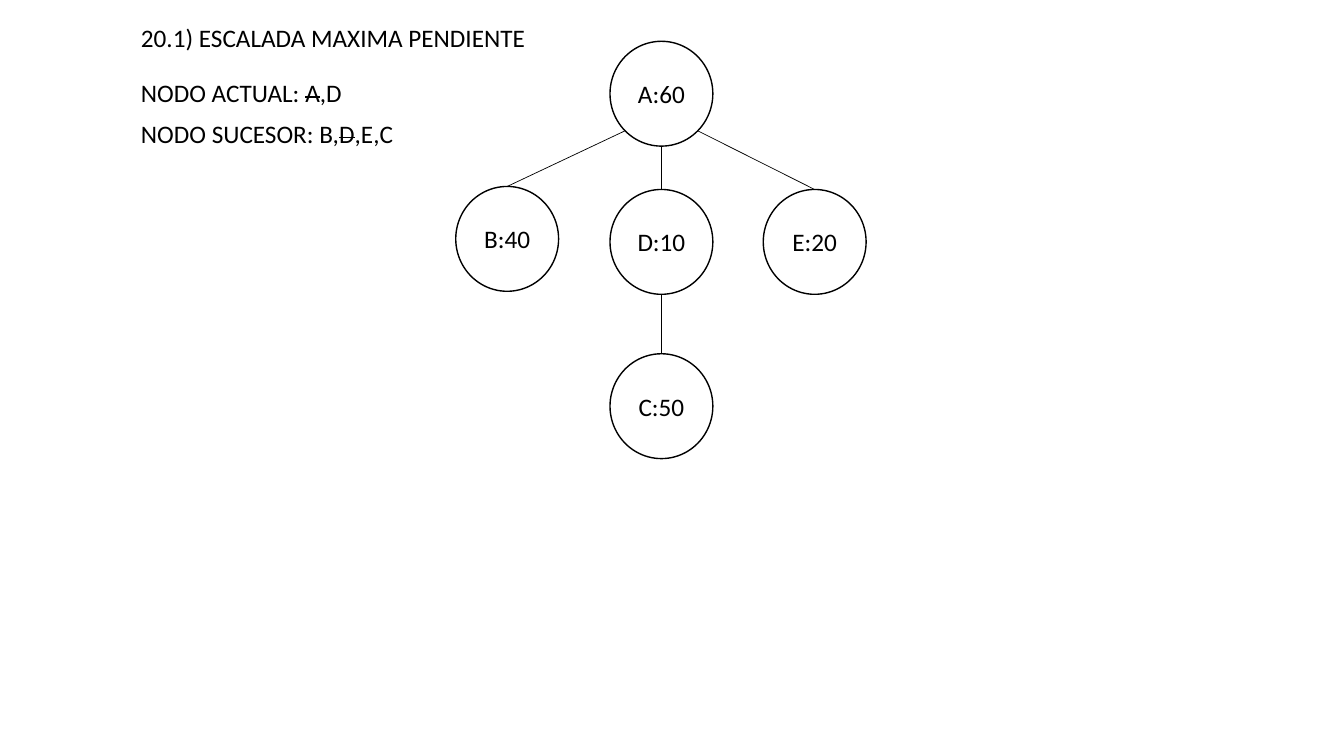
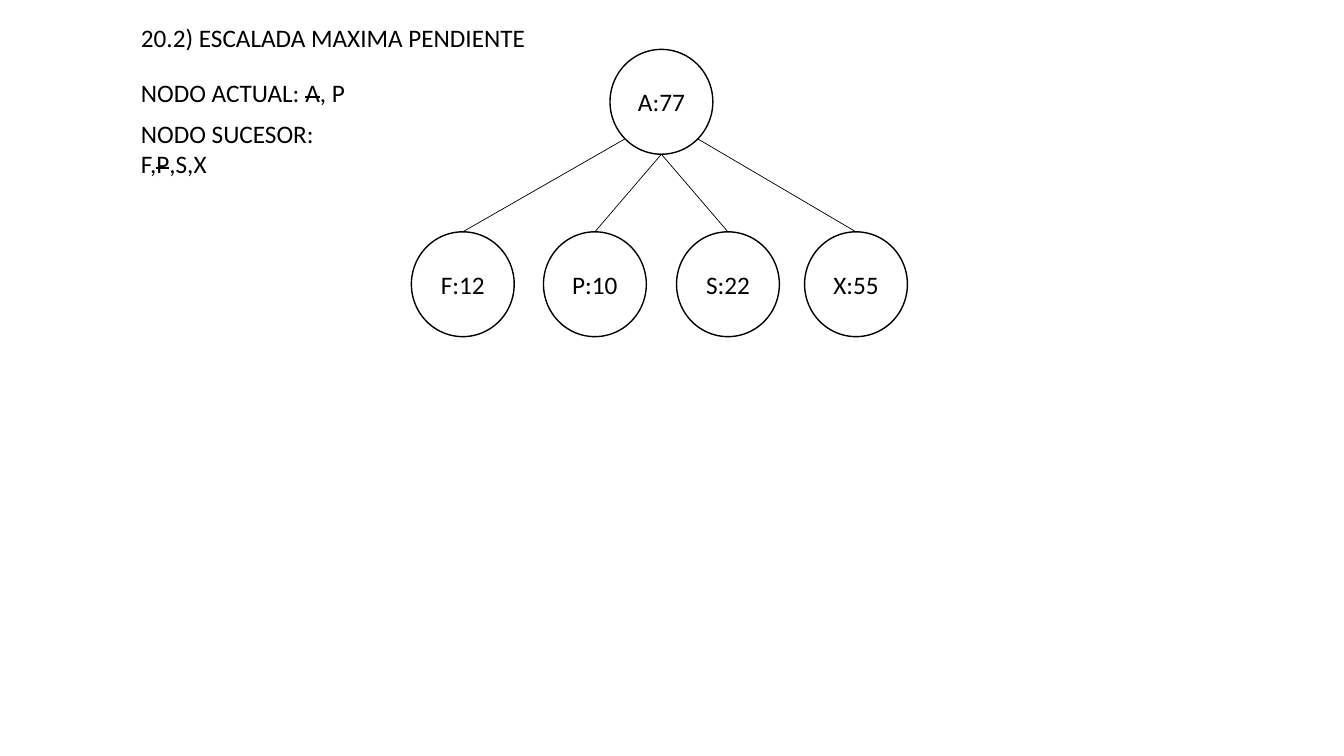
import math

from pptx import Presentation
from pptx.dml.color import RGBColor
from pptx.enum.shapes import MSO_CONNECTOR, MSO_SHAPE
from pptx.enum.text import MSO_ANCHOR, MSO_AUTO_SIZE, PP_ALIGN
from pptx.oxml.ns import qn
from pptx.util import Inches, Pt
from lxml import etree

STRAIGHT = MSO_CONNECTOR.STRAIGHT
ELLIPSE = MSO_SHAPE.OVAL
MIDDLE = MSO_ANCHOR.MIDDLE
CENTER = PP_ALIGN.CENTER
LEFT = PP_ALIGN.LEFT
GROW = MSO_AUTO_SIZE.SHAPE_TO_FIT_TEXT

COLORS = {"ink": "000000", "paper": "FFFFFF"}
FONT = "Calibri"
NODE_WIDTH, NODE_HEIGHT = 1.02, 1.04
ROOT_LEFT = 6.05
TEXT_LEFT = 1.3
BOTTOM_LEFT, BOTTOM, BOTTOM_RIGHT = 3, 4, 5
SITE_ANGLES = {BOTTOM_LEFT: 135, BOTTOM: 90, BOTTOM_RIGHT: 45}

SLIDES = [
    {
        "title": "20.1) ESCALADA MAXIMA PENDIENTE",
        "current": ("NODO ACTUAL: ~A~,D", 2.27),
        "successor": ("NODO SUCESOR: B,~D~,E,C", 2.78),
        "nodes": {
            "A:60": (ROOT_LEFT, 0.41),
            "B:40": (4.52, 1.85),
            "D:10": (ROOT_LEFT, 1.88),
            "E:20": (7.57, 1.88),
            "C:50": (ROOT_LEFT, 3.51),
        },
        "edges": [
            ("A:60", BOTTOM_LEFT, "B:40"),
            ("A:60", BOTTOM, "D:10"),
            ("A:60", BOTTOM_RIGHT, "E:20"),
            ("D:10", BOTTOM, "C:50"),
        ],
    },
    {
        "title": "20.2) ESCALADA MAXIMA PENDIENTE",
        "current": ("NODO ACTUAL: ~A~, P", 2.3),
        "successor": ("NODO SUCESOR: F,~P~,S,X", 2.3),
        "nodes": {
            "A:77": (ROOT_LEFT, 0.49),
            "F:12": (4.08, 2.3),
            "P:10": (5.39, 2.3),
            "S:22": (6.71, 2.3),
            "X:55": (7.98, 2.3),
        },
        "edges": [
            ("A:77", BOTTOM_LEFT, "F:12"),
            ("A:77", BOTTOM, "P:10"),
            ("A:77", BOTTOM, "S:22"),
            ("A:77", BOTTOM_RIGHT, "X:55"),
        ],
    },
]


def color(name):
    return RGBColor.from_string(COLORS[name])


def write_text(frame, text, size=18, ink="ink", align=LEFT):
    paragraph = frame.paragraphs[0]
    paragraph.alignment = align
    for index, part in enumerate(text.split("~")):
        run = paragraph.add_run()
        run.text = part
        run.font.name = FONT
        run.font.size = Pt(size)
        run.font.color.rgb = color(ink)
        if index % 2:
            run.font._element.set("strike", "sngStrike")


class TreeDeck:
    def __init__(self):
        self.presentation = Presentation()
        self.presentation.slide_width = Inches(13.33)
        self.presentation.slide_height = Inches(7.5)
        self.slide = None

    def new_slide(self):
        layout = self.presentation.slide_layouts[6]
        self.slide = self.presentation.slides.add_slide(layout)

    def label(self, text, top, width):
        shape = self.slide.shapes.add_textbox(
            Inches(TEXT_LEFT), Inches(top), Inches(width), Inches(0.4))
        frame = shape.text_frame
        frame.word_wrap = True
        frame.auto_size = GROW
        write_text(frame, text)

    def node(self, text, left, top):
        shape = self.slide.shapes.add_shape(
            ELLIPSE, Inches(left), Inches(top),
            Inches(NODE_WIDTH), Inches(NODE_HEIGHT))
        shape.shadow.inherit = False
        shape.fill.solid()
        shape.fill.fore_color.rgb = color("paper")
        shape.line.color.rgb = color("ink")
        shape.line.width = Pt(1)
        shape.text_frame.vertical_anchor = MIDDLE
        write_text(shape.text_frame, text, align=CENTER)
        return shape

    def edge(self, parent, site, child):
        angle = math.radians(SITE_ANGLES[site])
        start_x = parent.left + parent.width * (1 + math.cos(angle)) / 2
        start_y = parent.top + parent.height * (1 + math.sin(angle)) / 2
        connector = self.slide.shapes.add_connector(
            STRAIGHT, round(start_x), round(start_y),
            child.left + child.width // 2, child.top)
        joints = connector._element.nvCxnSpPr.cNvCxnSpPr
        etree.SubElement(joints, qn("a:stCxn"),
                         id=str(parent.shape_id), idx=str(site))
        connector.end_connect(child, 0)
        connector.line.color.rgb = color("ink")
        connector.line.width = Pt(0.5)
        etree.SubElement(connector._element.spPr, qn("a:effectLst"))

    def tree(self, nodes, edges):
        shapes = {text: self.node(text, *place) for text, place in nodes.items()}
        for parent, site, child in edges:
            self.edge(shapes[parent], site, shapes[child])


def main():
    deck = TreeDeck()
    for content in SLIDES:
        deck.new_slide()
        deck.tree(content["nodes"], content["edges"])
        deck.label(content["title"], 0.17, 4.24)
        for key, top in (("current", 0.72), ("successor", 1.12)):
            text, width = content[key]
            deck.label(text, top, width)
    deck.presentation.save("out.pptx")


if __name__ == "__main__":
    main()
